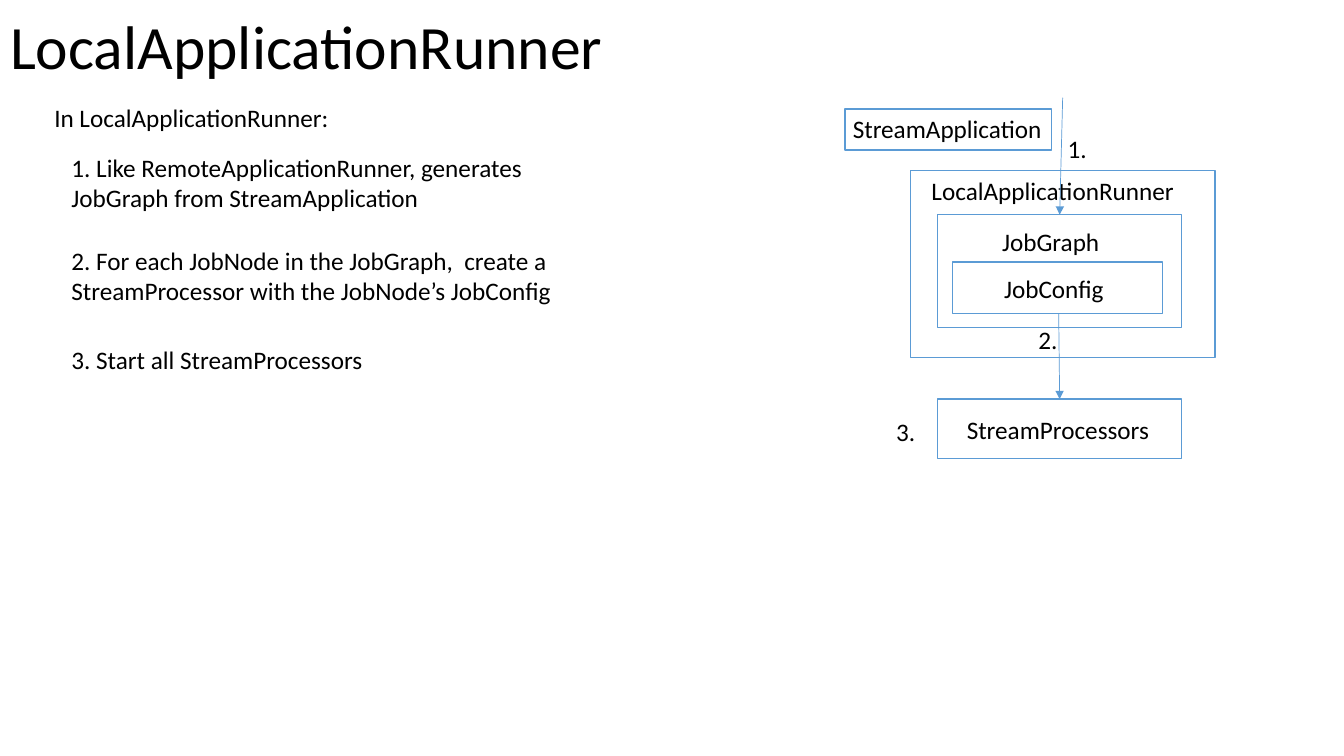
import pptx
import pptx.dml.color
import pptx.enum.shapes
import pptx.enum.text
import pptx.oxml
import pptx.oxml.ns
import pptx.util
from pptx.util import Inches

FONT = "Calibri"
BLACK, WHITE, BLUE = "000000", "FFFFFF", "5B9BD5"


def color(hex_code):
    return pptx.dml.color.RGBColor.from_string(hex_code)


def format_text(frame, size):
    for run in frame.paragraphs[0].runs:
        run.font.name = FONT
        run.font.size = pptx.util.Pt(size)
        run.font.color.rgb = color(BLACK)


def add_title(slide, text):
    title = slide.shapes.title
    title.left, title.top = Inches(0), Inches(-0.23)
    title.width, title.height = Inches(11.5), Inches(1.45)
    frame = title.text_frame
    frame.text = text
    frame.word_wrap = True
    frame.auto_size = pptx.enum.text.MSO_AUTO_SIZE.NONE
    frame.vertical_anchor = pptx.enum.text.MSO_ANCHOR.MIDDLE
    frame.paragraphs[0].alignment = pptx.enum.text.PP_ALIGN.LEFT
    frame.paragraphs[0].line_spacing = 0.9
    format_text(frame, 44)


def add_label(slide, text, left, top, width, height=0.4):
    label = slide.shapes.add_textbox(
        Inches(left), Inches(top), Inches(width), Inches(height))
    frame = label.text_frame
    frame.text = text
    frame.word_wrap = True
    frame.auto_size = pptx.enum.text.MSO_AUTO_SIZE.SHAPE_TO_FIT_TEXT
    format_text(frame, 18)


def add_box(slide, left, top, width, height):
    box = slide.shapes.add_shape(
        pptx.enum.shapes.MSO_SHAPE.RECTANGLE,
        Inches(left), Inches(top), Inches(width), Inches(height))
    box.shadow.inherit = False
    box.fill.solid()
    box.fill.fore_color.rgb = color(WHITE)
    box.line.color.rgb = color(BLUE)
    box.line.width = pptx.util.Pt(1)


def add_arrow(slide, x1, y1, x2, y2):
    arrow = slide.shapes.add_connector(
        pptx.enum.shapes.MSO_CONNECTOR.STRAIGHT,
        Inches(x1), Inches(y1), Inches(x2), Inches(y2))
    arrow.line.color.rgb = color(BLUE)
    arrow.line.width = pptx.util.Pt(0.5)
    namespace = pptx.oxml.ns.nsdecls("a")
    arrow.line._get_or_add_ln().append(
        pptx.oxml.parse_xml(f'<a:tailEnd {namespace} type="triangle"/>'))
    arrow._element.spPr.append(
        pptx.oxml.parse_xml(f"<a:effectLst {namespace}/>"))


def add_steps(slide):
    add_label(slide, "In LocalApplicationRunner:", 0.44, 0.97, 5.67)
    steps = [
        ("1. Like RemoteApplicationRunner, generates JobGraph from "
         "StreamApplication", 1.46, 4.69, 0.71),
        ("2. For each JobNode in the JobGraph,  create a StreamProcessor "
         "with the JobNode’s JobConfig", 2.38, 5.42, 0.71),
        ("3. Start all StreamProcessors", 3.37, 4.94, 0.4),
    ]
    for text, top, width, height in steps:
        add_label(slide, text, 0.61, top, width, height)


def add_diagram(slide):
    components = [
        ("LocalApplicationRunner", (9.03, 1.69, 3.02, 1.86), (9.14, 1.69, 3.35)),
        ("StreamApplication", (8.38, 1.08, 2.05, 0.41), (8.36, 1.08, 2.09)),
        ("JobGraph", (9.3, 2.13, 2.42, 1.12), (9.84, 2.2, 1.27)),
        ("JobConfig", (9.45, 2.6, 2.08, 0.51), (9.86, 2.66, 1.33)),
        ("StreamProcessors", (9.3, 3.96, 2.42, 0.59), (9.49, 4.06, 2.19)),
    ]
    for name, box_place, label_place in components:
        add_box(slide, *box_place)
        add_label(slide, name, *label_place)

    add_arrow(slide, 10.54, 0.97, 10.51, 2.13)
    add_arrow(slide, 10.5, 3.11, 10.51, 3.96)

    step_numbers = [("1.", 10.49, 1.27), ("2.", 10.2, 3.17), ("3.", 8.79, 4.08)]
    for number, left, top in step_numbers:
        add_label(slide, number, left, top, 0.47)


def main():
    presentation = pptx.Presentation()
    presentation.slide_width = Inches(13.33)
    presentation.slide_height = Inches(7.5)
    slide = presentation.slides.add_slide(presentation.slide_layouts[5])
    add_title(slide, "LocalApplicationRunner")
    add_steps(slide)
    add_diagram(slide)
    presentation.save("out.pptx")


if __name__ == "__main__":
    main()
